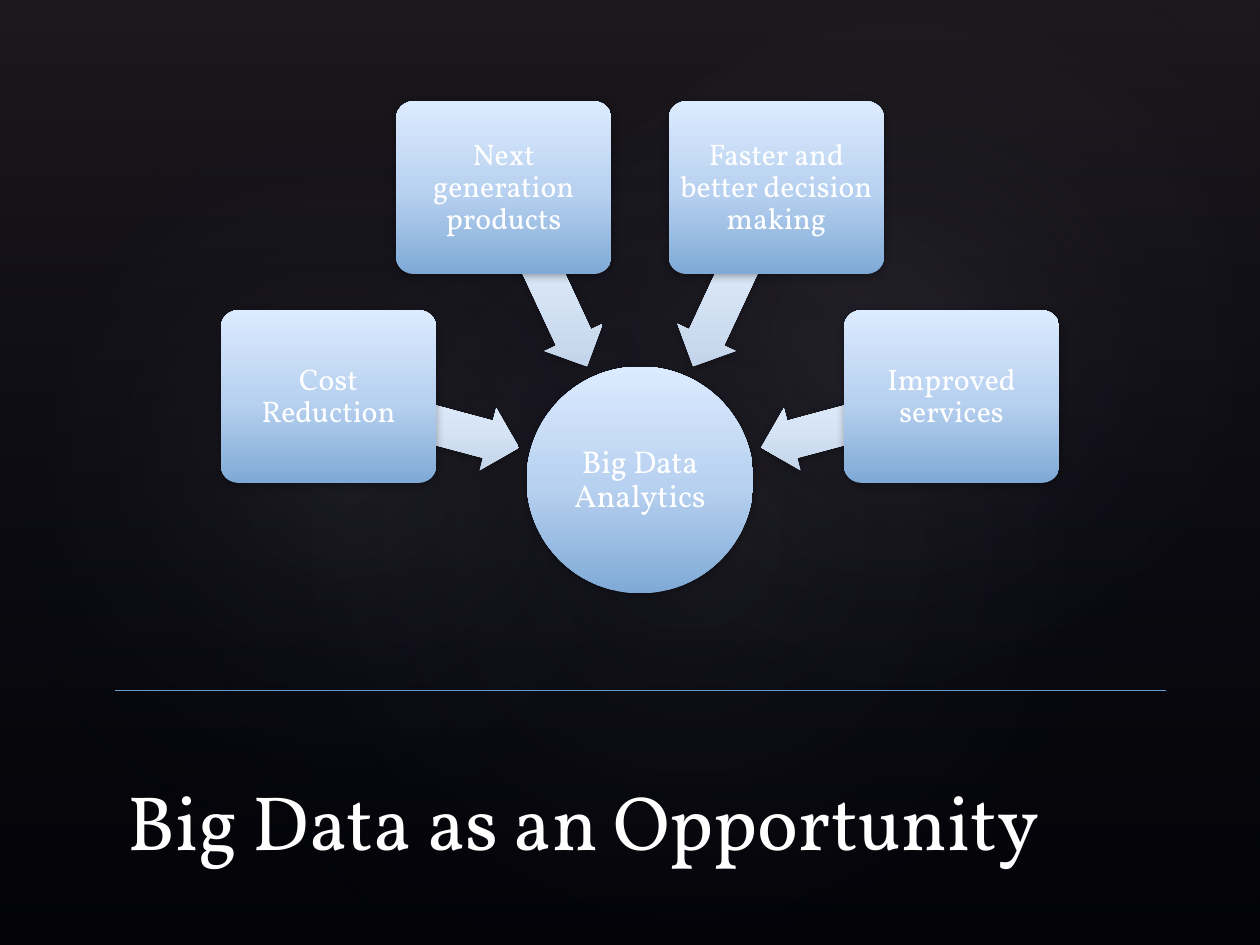
"""Build the "Big Data as an Opportunity" slide: four benefits around one hub."""
from math import cos, radians, sin

from lxml import etree
from pptx import Presentation
from pptx.dml.color import RGBColor
from pptx.enum.shapes import MSO_CONNECTOR, MSO_SHAPE
from pptx.enum.text import MSO_ANCHOR, PP_ALIGN
from pptx.oxml import parse_xml
from pptx.oxml.ns import qn
from pptx.util import Inches, Pt

TITLE = "Big Data as an Opportunity"
HUB = "Big Data Analytics"
BENEFITS = [
    (195, "Cost Reduction"),
    (245, "Next generation products"),
    (295, "Faster and better decision making"),
    (345, "Improved services"),
]
COLORS = {
    "background": "000000", "text": "FFFFFF", "rule": "629DD1", "shadow": "000000",
    "haze": "504652", "navy": "242852", "glow": "C4BCC6",
    "node_low": "7FAAD6", "node_mid": "B8D1F0", "node_high": "DCEBFF",
    "arrow_low": "C0D2E8", "arrow_mid": "D8E5F6", "arrow_high": "EAF3FF",
}
HAZE_STOPS = [(0, "haze", 36), (100, "navy", 10)]
GLOWS = [
    ((1.5, 1.14, 7.92, 6.24), 328.7, 7),
    ((-0.3, 1.28, 6.06, 4.9), 294.3, 8),
    ((3.58, 0.13, 7.09, 5.2), 328.7, 8),
]
FONT = "Vollkorn"
CENTER = (5.08, 3.81)
HUB_SIZE, BOX_SIZE, ARROW_SIZE = (1.8, 1.8), (1.71, 1.37), (1.57, 0.51)
BOX_RADIUS, ARROW_RADIUS = 2.56, 1.78
NAMESPACE = "http://schemas.openxmlformats.org/drawingml/2006/main"
LINEAR = '<a:lin ang="{}" scaled="0"/>'
RADIAL = ('<a:path path="circle"><a:fillToRect l="50000" t="50000" '
          'r="50000" b="50000"/></a:path>')


def shade(shape, stops, direction):
    stop_xml = "".join(
        f'<a:gs pos="{position * 1000}"><a:srgbClr val="{COLORS[name]}">'
        f'<a:alpha val="{alpha * 1000}"/></a:srgbClr></a:gs>'
        for position, name, alpha in stops)
    gradient = parse_xml(f'<a:gradFill xmlns:a="{NAMESPACE}" rotWithShape="0">'
                         f"<a:gsLst>{stop_xml}</a:gsLst>{direction}</a:gradFill>")
    shape.fill.solid()
    properties = shape._element.spPr
    properties.replace(properties.find(qn("a:solidFill")), gradient)


def add_shaded(slide, preset, place, stops, direction, rotation=0):
    shape = slide.shapes.add_shape(preset, *map(Inches, place))
    shape.rotation = rotation
    shape.shadow.inherit = False
    shape.line.fill.background()
    shade(shape, stops, direction)
    return shape


def add_part(slide, preset, center, size, tone, rotation=0):
    place = [middle - extent / 2 for middle, extent in zip(center, size)] + list(size)
    stops = [(0, f"{tone}_low", 100), (48, f"{tone}_mid", 100), (100, f"{tone}_high", 100)]
    part = add_shaded(slide, preset, place, stops, LINEAR.format(270 * 60000), rotation)
    part._element.spPr.find(qn("a:effectLst")).append(parse_xml(
        f'<a:outerShdw xmlns:a="{NAMESPACE}" blurRad="{Pt(5)}" dist="{Pt(1)}" '
        f'dir="5400000" rotWithShape="0"><a:srgbClr val="{COLORS["shadow"]}">'
        '<a:alpha val="32000"/></a:srgbClr></a:outerShdw>'))
    return part


def write(shape, text, size, anchor, align, spacing=1.0):
    frame = shape.text_frame
    frame.word_wrap = True
    frame.vertical_anchor = anchor
    paragraph = frame.paragraphs[0]
    paragraph.text = text
    paragraph.alignment = align
    paragraph.line_spacing = spacing
    paragraph.font.name = FONT
    paragraph.font.size = Pt(size)
    paragraph.font.color.rgb = RGBColor.from_string(COLORS["text"])


def label(node, text, size, inset):
    frame = node.text_frame
    frame.margin_left = frame.margin_right = Inches(inset)
    frame.margin_top = frame.margin_bottom = Inches(inset)
    write(node, text, size, MSO_ANCHOR.MIDDLE, PP_ALIGN.CENTER, 0.9)


def around(angle, radius):
    turn = radians(angle)
    return CENTER[0] + radius * cos(turn), CENTER[1] + radius * sin(turn)


def add_backdrop(slide):
    slide.background.fill.solid()
    slide.background.fill.fore_color.rgb = RGBColor.from_string(COLORS["background"])
    add_shaded(slide, MSO_SHAPE.RECTANGLE, (0, 0, 10, 7.5), HAZE_STOPS,
               LINEAR.format(90 * 60000))
    for place, rotation, alpha in GLOWS:
        add_shaded(slide, MSO_SHAPE.OVAL, place,
                   [(0, "glow", alpha), (58, "navy", 0)], RADIAL, rotation)


def add_diagram(slide):
    hub = add_part(slide, MSO_SHAPE.OVAL, CENTER, HUB_SIZE, "node")
    label(hub, HUB, 18, 0.01)
    for angle, text in BENEFITS:
        arrow = add_part(slide, MSO_SHAPE.LEFT_ARROW, around(angle, ARROW_RADIUS),
                         ARROW_SIZE, "arrow", angle)
        arrow.adjustments[0], arrow.adjustments[1] = 0.6, 0.5
        box = add_part(slide, MSO_SHAPE.ROUNDED_RECTANGLE, around(angle, BOX_RADIUS),
                       BOX_SIZE, "node")
        box.adjustments[0] = 0.1
        label(box, text, 17, 0.04)


def add_title(slide):
    title = slide.shapes.add_textbox(*map(Inches, (0.91, 5.92, 8.25, 1)))
    write(title, TITLE, 44, MSO_ANCHOR.BOTTOM, PP_ALIGN.LEFT)
    rule = slide.shapes.add_connector(
        MSO_CONNECTOR.STRAIGHT, *map(Inches, (0.91, 5.48, 9.25, 5.48)))
    rule.line.color.rgb = RGBColor.from_string(COLORS["rule"])
    rule.line.width = Pt(1)
    etree.SubElement(rule._element.spPr, qn("a:effectLst"))


def main():
    deck = Presentation()
    deck.slide_width, deck.slide_height = Inches(10), Inches(7.5)
    slide = deck.slides.add_slide(deck.slide_layouts[6])
    add_backdrop(slide)
    add_diagram(slide)
    add_title(slide)
    deck.save("out.pptx")


if __name__ == "__main__":
    main()
